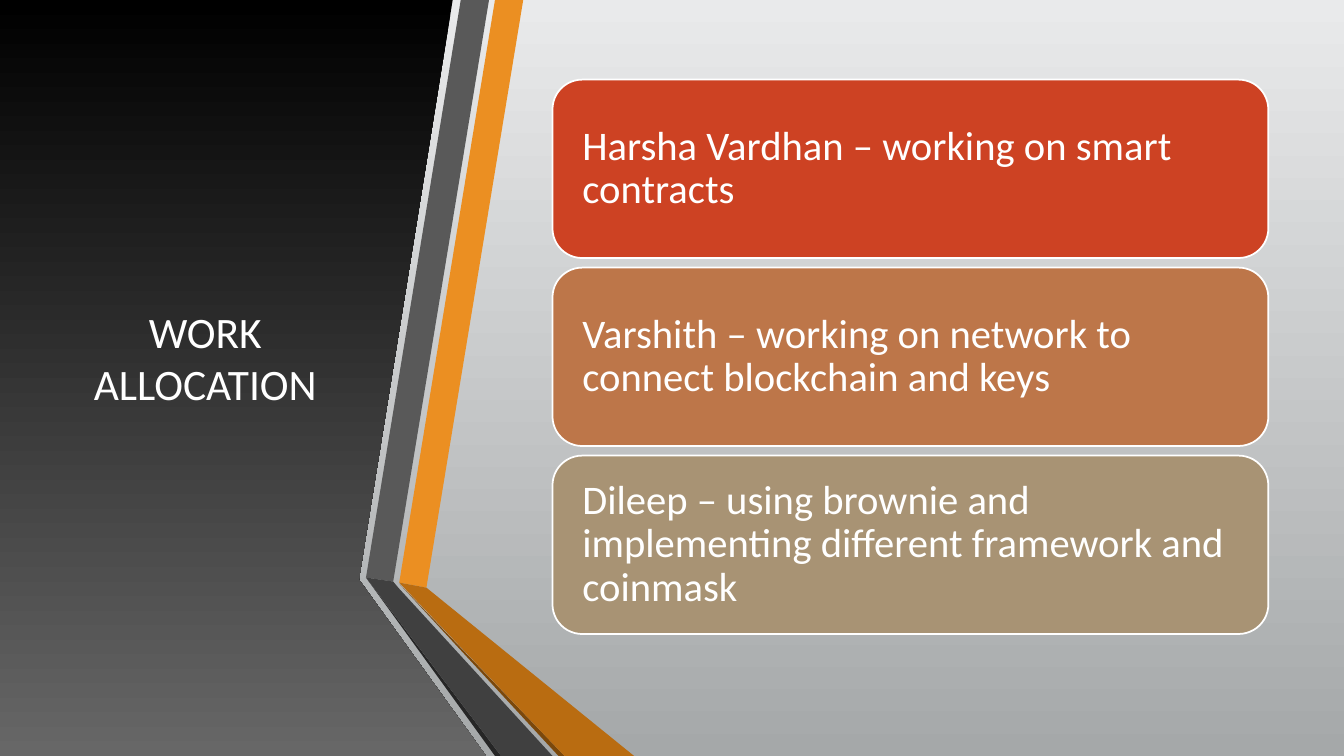
from pptx import Presentation
from pptx.dml.color import RGBColor
from pptx.enum.shapes import MSO_SHAPE
from pptx.enum.text import MSO_ANCHOR, PP_ALIGN
from pptx.util import Inches, Pt

WIDE, HIGH = 13.33, 7.5

COLORS = {
    "white": "FFFFFF", "black": "000000", "smoke": "676767",
    "light": "E9EAEB", "silver": "A5A8A9",
    "orange": "EB8F22", "amber": "B96C11", "brown": "7B480B",
    "gray": "595959", "dark": "404040", "shade": "262626",
    "red": "CD4223", "copper": "BD7649", "sand": "A89374",
}

PANEL = [(0, 0), (4.49, 0), (3.56, 5.75), (4.82, 7.5), (0, 7.5)]

RIBBONS = [
    ("orange", [(3.96, 5.78), (4.23, 5.83), (5.19, 0), (4.91, 0)]),
    ("gray", [(4.85, 0), (4.57, 0), (3.63, 5.73), (3.9, 5.77)]),
    ("shade", [(3.63, 5.73), (4.91, 7.5), (4.97, 7.5)]),
    ("brown", [(3.96, 5.79), (5.54, 7.5), (5.6, 7.5)]),
    ("amber", [(3.96, 5.78), (5.6, 7.5), (6.29, 7.5), (4.23, 5.83)]),
    ("dark", [(5.48, 7.5), (3.95, 5.83), (3.9, 5.77), (3.63, 5.73),
              (4.97, 7.5)]),
]

CARDS = [
    ("red", "Harsha Vardhan – working on smart contracts"),
    ("copper", "Varshith – working on network to connect blockchain and keys"),
    ("sand", "Dileep – using brownie and implementing different framework "
             "and coinmask"),
]


def rgb(name):
    return RGBColor.from_string(COLORS[name])


def paint(fill, top, bottom=None):
    if bottom is None:
        fill.solid()
        fill.fore_color.rgb = rgb(top)
        return
    fill.gradient()
    fill.gradient_angle = 270
    for stop, name in zip(fill.gradient_stops, (top, bottom)):
        stop.color.rgb = rgb(name)


def finish(shape, *tones, edge=None):
    shape.shadow.inherit = False
    paint(shape.fill, *tones)
    if edge:
        shape.line.color.rgb = rgb(edge)
        shape.line.width = Pt(1.25)
    else:
        shape.line.fill.background()
    return shape


def add_block(slide, kind, box, *tones, edge=None):
    shape = slide.shapes.add_shape(kind, *map(Inches, box))
    return finish(shape, *tones, edge=edge)


def add_path(slide, points, *tones):
    start, *rest = [(Inches(x), Inches(y)) for x, y in points]
    pen = slide.shapes.build_freeform(*start)
    pen.add_line_segments(rest, close=True)
    return finish(pen.convert_to_shape(), *tones)


def write(shape, text, size=29, align=PP_ALIGN.LEFT, inset=0.1, pitch=1.0):
    frame = shape.text_frame
    frame.word_wrap = True
    frame.vertical_anchor = MSO_ANCHOR.MIDDLE
    frame.margin_left = frame.margin_right = Inches(inset)
    frame.margin_top = frame.margin_bottom = Inches(inset)
    para = frame.paragraphs[0]
    para.alignment = align
    para.line_spacing = pitch
    run = para.add_run()
    run.text = text
    run.font.name = "Calibri"
    run.font.size = Pt(size)
    run.font.color.rgb = rgb("white")


def add_cards(slide):
    top, height, gap = 0.79, 1.77, 0.095
    for row, (tone, text) in enumerate(CARDS):
        box = (5.48, top + row * (height + gap), 7.1, height)
        card = add_block(slide, MSO_SHAPE.ROUNDED_RECTANGLE, box, tone,
                         edge="white")
        write(card, text, inset=0.21, pitch=0.9)


def main():
    deck = Presentation()
    deck.slide_width, deck.slide_height = Inches(WIDE), Inches(HIGH)
    slide = deck.slides.add_slide(deck.slide_layouts[6])
    paint(slide.background.fill, "light", "silver")
    add_block(slide, MSO_SHAPE.RECTANGLE, (0, 0, WIDE, HIGH),
              "light", "silver")
    add_path(slide, PANEL, "black", "smoke")
    title = slide.shapes.add_textbox(*map(Inches, (0.59, 0.75, 2.89, 5.58)))
    write(title, "WORK ALLOCATION", size=31, align=PP_ALIGN.CENTER)
    for tone, points in RIBBONS:
        add_path(slide, points, tone)
    add_cards(slide)
    deck.save("out.pptx")


if __name__ == "__main__":
    main()
